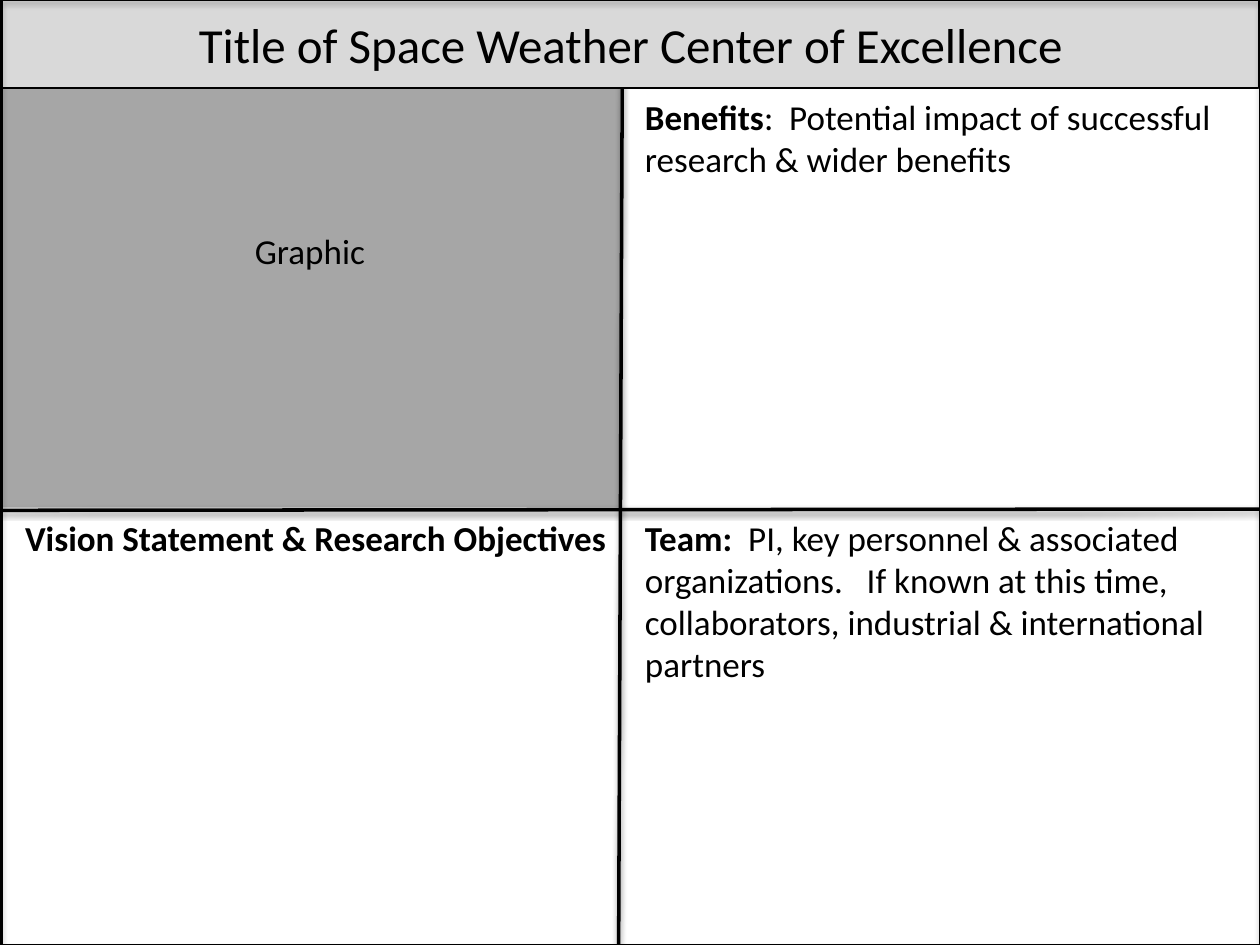
from collections import namedtuple

from lxml import etree
from pptx import Presentation
from pptx import util as u
from pptx.dml.color import RGBColor
from pptx.enum import shapes, text
from pptx.oxml.ns import qn

WIDTH, HEIGHT = 10, 7.5
FONT = "Calibri"
COLORS = {"ink": "000000", "banner": "D9D9D9", "graphic": "A6A6A6"}
Box = namedtuple("Box", "left top width height")

# Guides of the quad chart, in inches
BANNER = 0.7
MIDDLE_X = 0.492 * WIDTH
MIDDLE_Y = 0.54 * HEIGHT
GUTTER = 0.1
TEXT_WIDTH = 4.81
TOP_HEIGHT, BOTTOM_HEIGHT = 2.94, 3.27


def color(name):
    return RGBColor.from_string(COLORS[name])


def inches(values):
    return [u.Inches(value) for value in values]


def write(shape, spans, size=20, align=text.PP_ALIGN.LEFT, **frame_format):
    """Fill a shape with one paragraph of (wording, bold) spans."""
    frame = shape.text_frame
    settings = {"word_wrap": True, "vertical_anchor": text.MSO_ANCHOR.TOP}
    for name, value in {**settings, **frame_format}.items():
        setattr(frame, name, value)
    para = frame.paragraphs[0]
    para.alignment = align
    for wording, bold in spans:
        span = para.add_run()
        span.text = wording
        for name, value in {"name": FONT, "size": u.Pt(size), "bold": bold}.items():
            setattr(span.font, name, value)
        span.font.color.rgb = color("ink")


def set_line(shape, points):
    shape.line.color.rgb = color("ink")
    shape.line.width = u.Pt(points)


def add_shadow(shape, distance, opacity):
    """Give a shape a soft black shadow that falls straight down."""
    properties = shape._element.spPr
    for old in properties.findall(qn("a:effectLst")):
        properties.remove(old)
    effects = etree.SubElement(properties, qn("a:effectLst"))
    shadow = etree.SubElement(
        effects, qn("a:outerShdw"), blurRad=str(u.Pt(3.1)),
        dist=str(u.Pt(distance)), dir="5400000", rotWithShape="0")
    tone = etree.SubElement(shadow, qn("a:srgbClr"), val=COLORS["ink"])
    etree.SubElement(tone, qn("a:alpha"), val=str(opacity * 1000))


def add_rectangle(page, box, fill=None):
    shape = page.shapes.add_shape(shapes.MSO_SHAPE.RECTANGLE, *inches(box))
    shape.shadow.inherit = False
    if fill:
        shape.fill.solid()
        shape.fill.fore_color.rgb = color(fill)
    else:
        shape.fill.background()
    shape.line.fill.background()
    return shape


def add_text_panel(page, box, spans):
    write(page.shapes.add_textbox(*inches(box)), spans)


def add_graphic_panel(page, box):
    panel = add_rectangle(page, box, "graphic")
    write(panel, [("Graphic", False)], align=text.PP_ALIGN.CENTER,
          margin_top=u.Inches(0.34 * box.height))


def add_banner(page, box):
    banner = add_rectangle(page, box, "banner")
    set_line(banner, 0.75)
    write(banner, [("Title of Space Weather Center of Excellence", False)],
          size=28, align=text.PP_ALIGN.CENTER,
          vertical_anchor=text.MSO_ANCHOR.MIDDLE)


def add_dividers(page):
    """Cross the slide with two slightly slanted rules."""
    for ends in ((0, MIDDLE_Y, WIDTH, MIDDLE_Y - 0.01),
                 (MIDDLE_X + 0.02, 0.29, MIDDLE_X - 0.01, HEIGHT)):
        rule = page.shapes.add_connector(
            shapes.MSO_CONNECTOR.STRAIGHT, *inches(ends))
        set_line(rule, 2)
        add_shadow(rule, distance=1.6, opacity=38)


def add_frame(page, box):
    frame = add_rectangle(page, box)
    set_line(frame, 1.5)
    add_shadow(frame, distance=1.8, opacity=35)


def main():
    deck = Presentation()
    deck.slide_width, deck.slide_height = inches((WIDTH, HEIGHT))
    page = deck.slides.add_slide(deck.slide_layouts[6])

    right = MIDDLE_X + GUTTER
    add_text_panel(page, Box(GUTTER, MIDDLE_Y, TEXT_WIDTH, BOTTOM_HEIGHT),
                   [("Vision Statement & Research Objectives", True)])
    add_graphic_panel(page, Box(0, BANNER - 0.01, MIDDLE_X, 3.34))
    add_text_panel(page, Box(right, BANNER + 0.01, TEXT_WIDTH, TOP_HEIGHT), [
        ("Benefits", True),
        (":  Potential impact of successful research & wider benefits", False)])
    add_text_panel(page, Box(right, MIDDLE_Y, TEXT_WIDTH, BOTTOM_HEIGHT), [
        ("Team:", True),
        ("  PI, key personnel & associated organizations.   If known at this "
         "time, collaborators, industrial & international partners", False)])
    add_dividers(page)
    add_banner(page, Box(0.02, 0, WIDTH - 0.03, BANNER))
    add_frame(page, Box(0.01, 0, WIDTH - 0.01, HEIGHT))
    deck.save("out.pptx")


if __name__ == "__main__":
    main()
